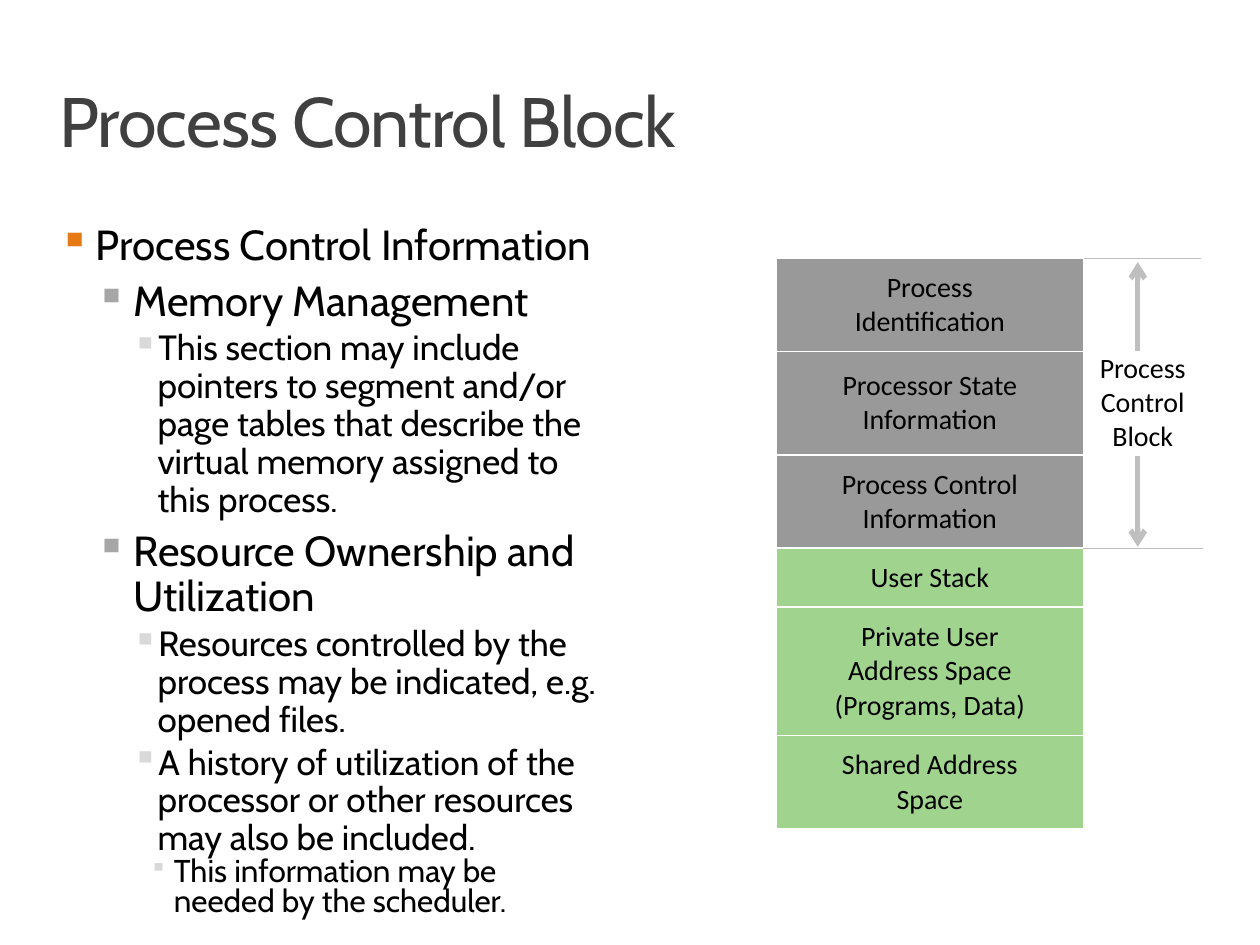
from dataclasses import dataclass

from lxml.etree import SubElement
from pptx import Presentation
from pptx.dml.color import RGBColor
from pptx.enum.shapes import MSO_CONNECTOR
from pptx.enum.text import MSO_ANCHOR, PP_ALIGN
from pptx.oxml import parse_xml
from pptx.oxml.ns import nsdecls, qn
from pptx.util import Inches, Pt


@dataclass(frozen=True)
class Theme:
    """Colours, fonts and type sizes of the slide."""
    head: str = "Cabin"
    label: str = "Calibri"
    title: str = "404040"
    ink: str = "000000"
    paper: str = "FFFFFF"
    rule: str = "BFBFBF"
    block: str = "999999"
    user: str = "A0D48E"
    big: int = 40
    small: int = 16


@dataclass(frozen=True)
class Level:
    """Format of one outline level, with indents in grid columns."""
    size: int
    left: float
    hang: float
    before: int
    tint: str
    line: float = 0.9
    scale: int = 100


LOOK = Theme()
LEVELS = [
    Level(24, 2.9, 2.9, 18, "E67914"),
    Level(24, 5.9, 3, 6, "A6A6A6"),
    Level(20, 7.8, 2, 3, "D9D9D9"),
    Level(18, 9.1, 1.9, 0, "D9D9D9", 0.8, 75),
]
POINTS = [
    (0, "Process Control Information"),
    (1, "Memory Management"),
    (2, "This section may include pointers to segment and/or page tables "
        "that describe the virtual memory assigned to this process."),
    (1, "Resource Ownership and Utilization"),
    (2, "Resources controlled by the process may be indicated, e.g. opened files."),
    (2, "A history of utilization of the processor or other resources may also be included."),
    (3, "This information may be needed by the scheduler."),
]
ROWS = [
    (7.4, LOOK.block, "Process\nIdentification"),
    (8.2, LOOK.block, "Processor State\nInformation"),
    (7.4, LOOK.block, "Process Control\nInformation"),
    (4.7, LOOK.user, "User Stack"),
    (10.2, LOOK.user, "Private User\nAddress Space\n(Programs, Data)"),
    (7.4, LOOK.user, "Shared Address\nSpace"),
]


def grid(*cells):
    """Turn steps of a grid of 100 columns and 75 rows into lengths."""
    return [Inches(cell / 10) for cell in cells]


def write(frame, text, size, font, tint, first=True, line=None, before=0,
          align=None, space=None, level=None):
    """Write each line of text as a paragraph in the given format."""
    for count, words in enumerate(text.split("\n")):
        para = frame.paragraphs[0] if first and count == 0 else frame.add_paragraph()
        para.line_spacing, para.space_before, para.alignment = line, Pt(before), align
        if level is not None:
            mark(para, level)
        run = para.add_run()
        run.text = words
        run.font.size, run.font.name = Pt(size), font
        run.font.color.rgb = RGBColor.from_string(tint)
        if space:
            run.font._element.set("spc", str(space))


def mark(para, level):
    """Give a paragraph the bullet and indent of its level."""
    form = LEVELS[level]
    para.level = level
    props = para._p.get_or_add_pPr()
    left, hang = grid(form.left, form.hang)
    props.set("marL", str(left))
    props.set("indent", str(-hang))
    tint = SubElement(props, qn("a:buClr"))
    SubElement(tint, qn("a:srgbClr"), val=form.tint)
    SubElement(props, qn("a:buSzPct"), val=str(form.scale * 1000))
    SubElement(props, qn("a:buChar"), char="▪")


def inset(frame, top=0, foot=0):
    """Set the margins of a text frame or table cell."""
    frame.margin_left = frame.margin_right = 0
    frame.margin_top, frame.margin_bottom = grid(top, foot)


def box(slide, *place, top=0):
    """Add a wrapping text box and return its frame."""
    frame = slide.shapes.add_textbox(*grid(*place)).text_frame
    frame.word_wrap = True
    inset(frame, top)
    return frame


def arrow(slide, *ends):
    """Add a line with an arrowhead at both ends."""
    line = slide.shapes.add_connector(MSO_CONNECTOR.STRAIGHT, *grid(*ends))
    line.line.width = Pt(3)
    line.line.color.rgb = RGBColor.from_string(LOOK.rule)
    for end in ("headEnd", "tailEnd"):
        SubElement(line.line._ln, qn(f"a:{end}"), type="arrow")
    SubElement(line._element.spPr, qn("a:effectLst"))


def edge(cell, grey=""):
    """Draw thin grey rules on the named sides and white on the rest."""
    props = cell._tc.get_or_add_tcPr()
    for place, side in enumerate("LRTB"):
        tint, width = (LOOK.rule, 0.25) if side in grey else (LOOK.paper, 1)
        props.insert(place, parse_xml(
            f'<a:ln{side} {nsdecls("a")} w="{Pt(width)}"><a:solidFill>'
            f'<a:srgbClr val="{tint}"/></a:solidFill></a:ln{side}>'))


def fill(cell, text="", tint=None, pad=0, grey=""):
    """Give a table cell its text, fill and borders."""
    inset(cell, pad, pad)
    cell.vertical_anchor = MSO_ANCHOR.MIDDLE
    if tint:
        cell.fill.solid()
        cell.fill.fore_color.rgb = RGBColor.from_string(tint)
    else:
        cell.fill.background()
    if text:
        write(cell.text_frame, text, LOOK.small, LOOK.label, LOOK.ink,
              align=PP_ALIGN.CENTER)
    edge(cell, grey)


def stack(slide, left, top, *widths):
    """Add the memory layout table with its side label."""
    high = sum(row[0] for row in ROWS)
    table = slide.shapes.add_table(
        len(ROWS), len(widths), *grid(left, top, sum(widths), high)).table
    table.first_row = table.horz_banding = False
    for column, width in zip(table.columns, grid(*widths)):
        column.width = width
    sides = {0: {"grey": "T"}, 2: {"grey": "B"}, 3: {"grey": "T"},
             1: {"text": "Process\nControl\nBlock", "tint": LOOK.paper}}
    for count, (height, tint, text) in enumerate(ROWS):
        table.rows[count].height = grid(height)[0]
        fill(table.cell(count, 0), text, tint, pad=1)
        fill(table.cell(count, 1), **sides.get(count, {}))


def main():
    """Build and save the slide."""
    deck = Presentation()
    deck.slide_width, deck.slide_height = grid(100, 75)
    slide = deck.slides.add_slide(deck.slide_layouts[6])
    write(box(slide, 4.7, 7, 90.6, 8.9, top=0.4), "Process Control Block",
          LOOK.big, LOOK.head, LOOK.title, line=0.8, space=-50)
    body = box(slide, 4.7, 17.8, 42.9, 52.8)
    for count, (level, text) in enumerate(POINTS):
        form = LEVELS[level]
        write(body, text, form.size, LOOK.head, LOOK.ink, first=count == 0,
              line=form.line, before=form.before, level=level)
    arrow(slide, 90.3, 20.8, 90.3, 43.4)
    stack(slide, 61.6, 20.5, 24.4, 9.4)
    deck.save("out.pptx")


if __name__ == "__main__":
    main()
